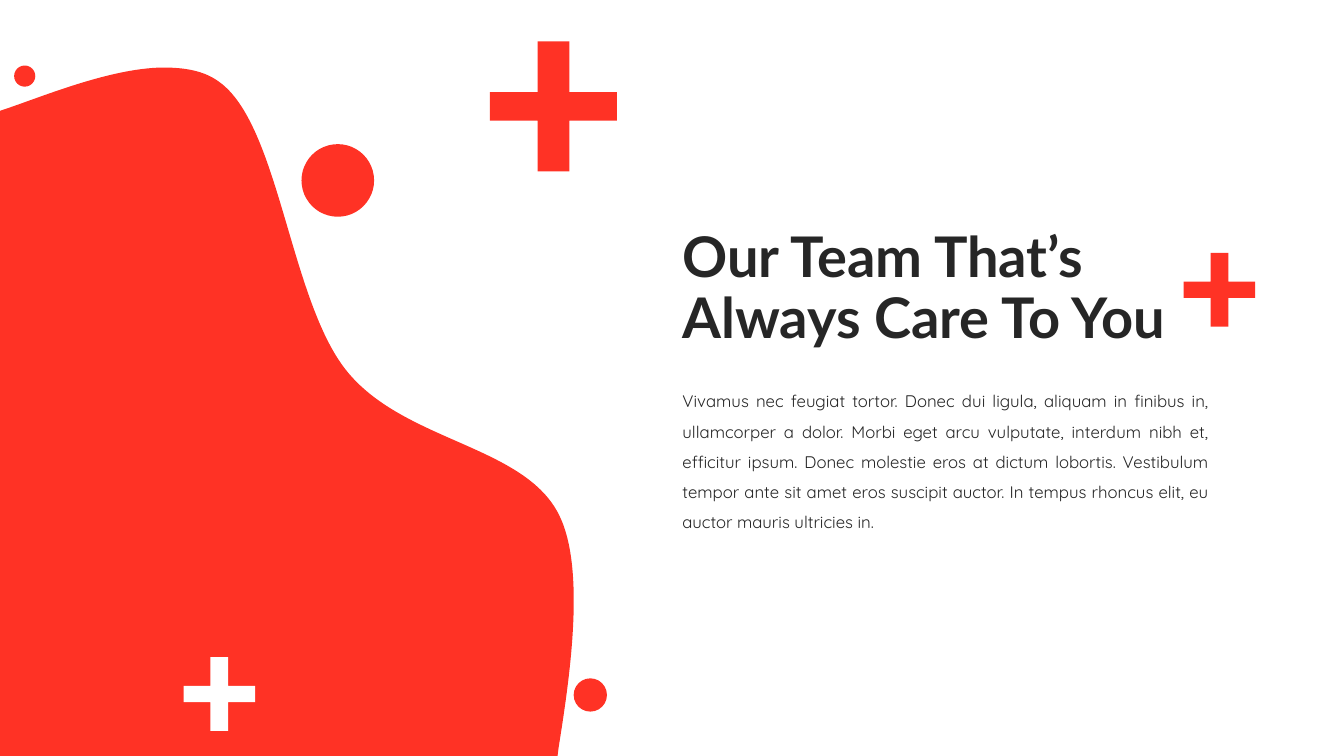
"""Build the team introduction slide with a red blob, dots and medical crosses."""
from lxml import etree
from pptx import Presentation
from pptx.dml.color import RGBColor
from pptx.enum.shapes import MSO_SHAPE
from pptx.enum.text import MSO_ANCHOR, MSO_AUTO_SIZE, PP_ALIGN
from pptx.oxml.ns import qn
from pptx.util import Inches, Pt

RED = RGBColor(0xFF, 0x32, 0x25)
WHITE = RGBColor(0xFF, 0xFF, 0xFF)
INK = RGBColor(0x26, 0x26, 0x26)

TITLE = "Our Team That’s Always Care To You"
INTRO = (
    "Vivamus nec feugiat tortor. Donec dui ligula, aliquam in finibus in, "
    "ullamcorper a dolor. Morbi eget arcu vulputate, interdum nibh et, "
    "efficitur ipsum. Donec molestie eros at dictum lobortis. Vestibulum "
    "tempor ante sit amet eros suscipit auctor. In tempus rhoncus elit, eu "
    "auctor mauris ultricies in."
)

BLOB_WIDTH = 5.69
BLOB_EDGE = [(0, 1.1), (0, 7.5), (5.53, 7.5), (5.54, 7.42)]
BLOB_CURVES = [
    [(5.65, 6.73), (5.81, 5.66), (5.55, 5.12)],
    [(5.21, 4.41), (4, 4.39), (3.43, 3.67)],
    [(2.87, 2.96), (2.77, 1.23), (2.17, 0.81)],
    [(2.02, 0.7), (1.83, 0.67), (1.61, 0.67)],
    [(1.08, 0.68), (0.42, 0.96), (0.03, 1.09)],
]

DOTS = [(2.99, 1.43, 0.72), (5.69, 6.73, 0.33), (0.14, 0.65, 0.21)]
CROSSES = [
    (11.74, 2.51, 0.71, 0.73, RED),
    (1.82, 6.52, 0.71, 0.73, WHITE),
    (4.86, 0.41, 1.26, 1.29, RED),
]
UPRIGHT_SHARE, BAR_SHARE = 0.25, 0.22


def paint(shape, color):
    shape.shadow.inherit = False
    shape.fill.solid()
    shape.fill.fore_color.rgb = color
    shape.line.fill.background()


def add_outline(slide, points, color):
    corners = [(Inches(x), Inches(y)) for x, y in points]
    builder = slide.shapes.build_freeform(*corners[0], scale=1.0)
    builder.add_line_segments(corners[1:], close=True)
    outline = builder.convert_to_shape()
    paint(outline, color)
    return outline


def add_blob(slide):
    controls = [point for curve in BLOB_CURVES for point in curve]
    blob = add_outline(slide, BLOB_EDGE + controls, RED)
    track = next(blob.element.iter(qn("a:path")))
    curved = track.findall(qn("a:lnTo"))[len(BLOB_EDGE) - 1:]
    for start in range(0, len(curved), 3):
        bend = etree.Element(qn("a:cubicBezTo"))
        curved[start].addprevious(bend)
        for segment in curved[start:start + 3]:
            bend.append(segment[0])
            track.remove(segment)
    blob.width = Inches(BLOB_WIDTH)
    track.set("w", str(Inches(BLOB_WIDTH)))


def cross_points(left, top, width, height):
    x1 = left + width * (1 - UPRIGHT_SHARE) / 2
    x2 = x1 + width * UPRIGHT_SHARE
    y1 = top + height * (1 - BAR_SHARE) / 2
    y2 = y1 + height * BAR_SHARE
    right, bottom = left + width, top + height
    return [
        (x1, top), (x2, top), (x2, y1), (right, y1), (right, y2), (x2, y2),
        (x2, bottom), (x1, bottom), (x1, y2), (left, y2), (left, y1), (x1, y1),
    ]


def add_text(slide, box, text, font_name, size, spacing, align, bold=False):
    frame = slide.shapes.add_textbox(*map(Inches, box)).text_frame
    frame.word_wrap = True
    frame.text = text
    paragraph = frame.paragraphs[0]
    paragraph.alignment = align
    paragraph.line_spacing = spacing
    font = paragraph.runs[0].font
    font.name, font.size, font.bold = font_name, Pt(size), bold
    font.color.rgb = INK
    return frame


def main():
    deck = Presentation()
    deck.slide_width, deck.slide_height = Inches(13.33), Inches(7.5)
    slide = deck.slides.add_slide(deck.slide_layouts[6])

    add_blob(slide)
    title_cross, *other_crosses = CROSSES
    add_outline(slide, cross_points(*title_cross[:4]), title_cross[4])
    intro = add_text(slide, (6.67, 3.73, 5.42, 1.62), INTRO, "Quicksand", 12, 1.5, PP_ALIGN.JUSTIFY)
    intro.auto_size = MSO_AUTO_SIZE.SHAPE_TO_FIT_TEXT
    for left, top, size in DOTS:
        dot = slide.shapes.add_shape(MSO_SHAPE.OVAL, *map(Inches, (left, top, size, size)))
        paint(dot, RED)
    for *cross_box, color in other_crosses:
        add_outline(slide, cross_points(*cross_box), color)
    title = add_text(slide, (6.67, 2.15, 5.75, 1.45), TITLE, "Lato", 40, 0.9, PP_ALIGN.LEFT, True)
    title.vertical_anchor = MSO_ANCHOR.MIDDLE

    deck.save("out.pptx")


if __name__ == "__main__":
    main()
